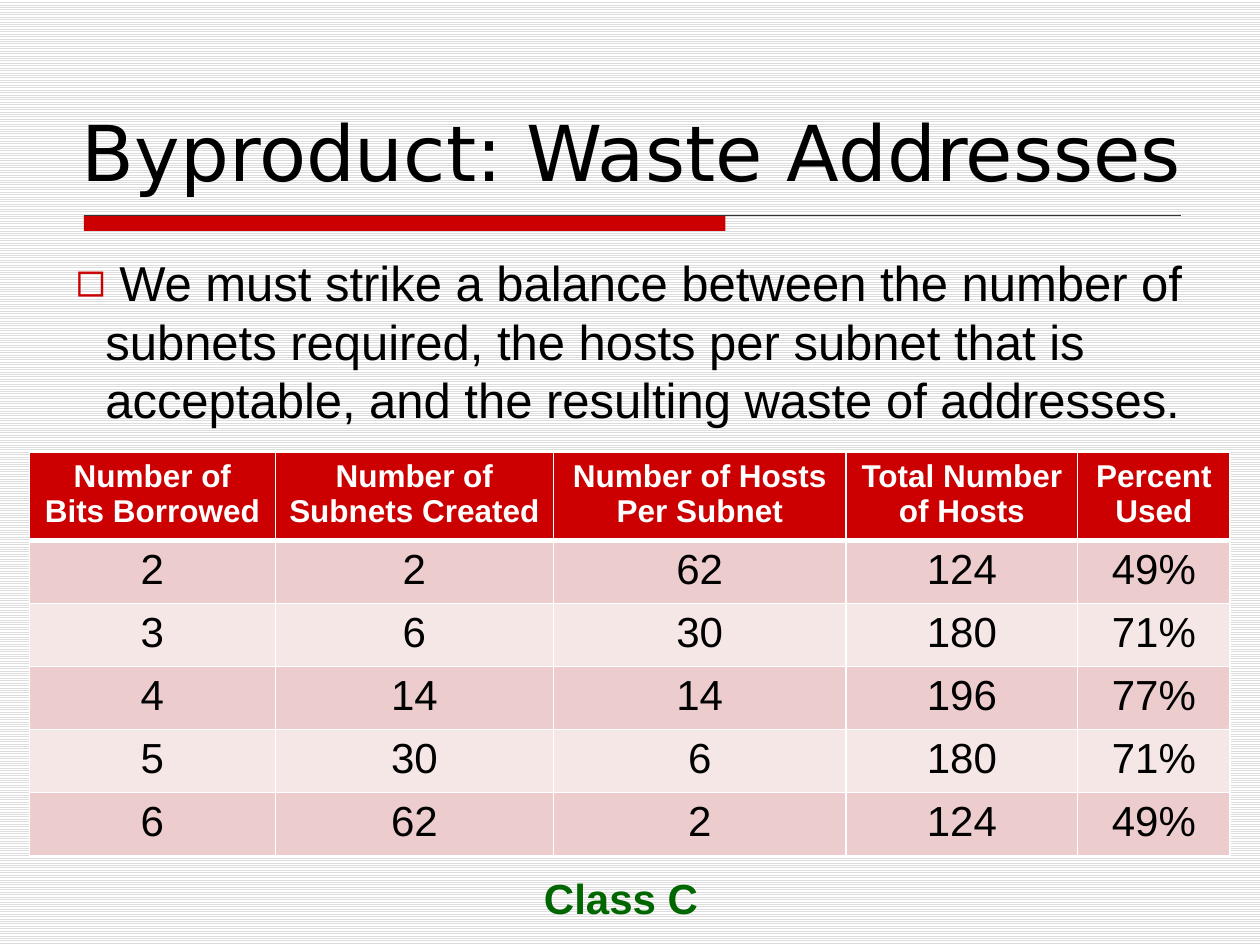
import lxml.etree
import pptx
import pptx.dml.color
import pptx.enum.dml
import pptx.enum.shapes
import pptx.enum.text
import pptx.oxml.ns
import pptx.util

Pt = pptx.util.Pt
qn = pptx.oxml.ns.qn
RED = "CC0000"


def rgb(code):
    return pptx.dml.color.RGBColor.from_string(code)


def add_span(para, text, size, color, font="Arial", bold=False):
    span = para.add_run()
    span.text = text
    span.font.size = Pt(size)
    span.font.name = font
    span.font.bold = bold
    span.font.color.rgb = rgb(color)


deck = pptx.Presentation()
deck.slide_width, deck.slide_height = Pt(720), Pt(540)
page = deck.slides.add_slide(deck.slide_layouts[1])

# Striped background
backdrop = page.background.fill
backdrop.patterned()
backdrop.pattern = pptx.enum.dml.MSO_PATTERN.LIGHT_HORIZONTAL
backdrop.fore_color.rgb = rgb("DDDDDD")
backdrop.back_color.rgb = rgb("FFFFFF")

# Red bar under the title, with the title rule and the footer rule
bar = page.shapes.add_shape(
    pptx.enum.shapes.MSO_SHAPE.RECTANGLE, Pt(48), Pt(123), Pt(366.5), Pt(9))
bar.shadow.inherit = False
bar.fill.solid()
bar.fill.fore_color.rgb = rgb(RED)
bar.line.fill.background()
for right, y, color, weight in [(675, 123, "333333", 0.75), (672, 486, RED, 0.25)]:
    rule = page.shapes.add_connector(
        pptx.enum.shapes.MSO_CONNECTOR.STRAIGHT, Pt(48), Pt(y), Pt(right), Pt(y))
    rule.line.color.rgb = rgb(color)
    rule.line.width = Pt(weight)
    lxml.etree.SubElement(rule._element.spPr, qn("a:effectLst"))

# Title, body and caption
title, body = page.shapes.title, page.placeholders[1]
caption = page.shapes.add_textbox(0, 0, 0, 0)
for box, left, top, width, height, wrap in [
    (title, 39.6, 56, 655.2, 60.5, False),
    (body, 36, 140.8, 684, 109, True),
    (caption, 303.8, 495, 110.2, 36.7, False),
]:
    box.left, box.top, box.width, box.height = Pt(left), Pt(top), Pt(width), Pt(height)
    box.text_frame.word_wrap = wrap
    box.text_frame.auto_size = pptx.enum.text.MSO_AUTO_SIZE.NONE
    box.text_frame.vertical_anchor = pptx.enum.text.MSO_ANCHOR.TOP
    para = box.text_frame.paragraphs[0]
    para.alignment = pptx.enum.text.PP_ALIGN.LEFT
    para.space_before = Pt(0)

add_span(title.text_frame.paragraphs[0], "Byproduct: Waste Addresses", 44, "000000", "DejaVu Sans")
add_span(caption.text_frame.paragraphs[0], "Class C", 24, "006600", bold=True)

para = body.text_frame.paragraphs[0]
para.line_spacing = Pt(33.5)
props = para._p.get_or_add_pPr()
props.set("marL", str(Pt(17)))
props.set("indent", str(-Pt(17)))
bullet_color = lxml.etree.SubElement(props, qn("a:buClr"))
lxml.etree.SubElement(bullet_color, qn("a:srgbClr"), val=RED)
lxml.etree.SubElement(props, qn("a:buChar"), char="◻")
add_span(para, " We must strike a balance between the number of subnets required, "
         "the hosts per subnet that is acceptable, and the resulting waste of addresses.",
         28, "000000")

# Subnet table
rows = [
    ["Number of Bits Borrowed", "Number of Subnets Created", "Number of Hosts Per Subnet",
     "Total Number of Hosts", "Percent Used"],
    ["2", "2", "62", "124", "49%"],
    ["3", "6", "30", "180", "71%"],
    ["4", "14", "14", "196", "77%"],
    ["5", "30", "6", "180", "71%"],
    ["6", "62", "2", "124", "49%"],
]
column_widths = [140.4, 159, 167.2, 132.4, 87]
row_heights = [50.4] + [36] * 5
table = page.shapes.add_table(
    len(rows), len(column_widths), Pt(16.9), Pt(258.5),
    Pt(sum(column_widths)), Pt(sum(row_heights))).table
for column, width in zip(table.columns, column_widths):
    column.width = Pt(width)
for row, height in zip(table.rows, row_heights):
    row.height = Pt(height)

for r, values in enumerate(rows):
    header = r == 0
    for c, value in enumerate(values):
        cell = table.cell(r, c)
        cell_props = cell._tc.get_or_add_tcPr()
        for side in "LRTB":
            thick = (header and side == "B") or (r == 1 and side == "T")
            border = lxml.etree.SubElement(
                cell_props, qn(f"a:ln{side}"), w=str(Pt(3 if thick else 1)))
            border_fill = lxml.etree.SubElement(border, qn("a:solidFill"))
            lxml.etree.SubElement(border_fill, qn("a:srgbClr"), val="FFFFFF")
        cell.fill.solid()
        cell.fill.fore_color.rgb = rgb(RED if header else ("F6E7E7", "ECCCCC")[r % 2])
        para = cell.text_frame.paragraphs[0]
        para.alignment = pptx.enum.text.PP_ALIGN.CENTER
        add_span(para, value, 18 if header else 24,
                 "FFFFFF" if header else "000000", bold=header)

deck.save("out.pptx")
